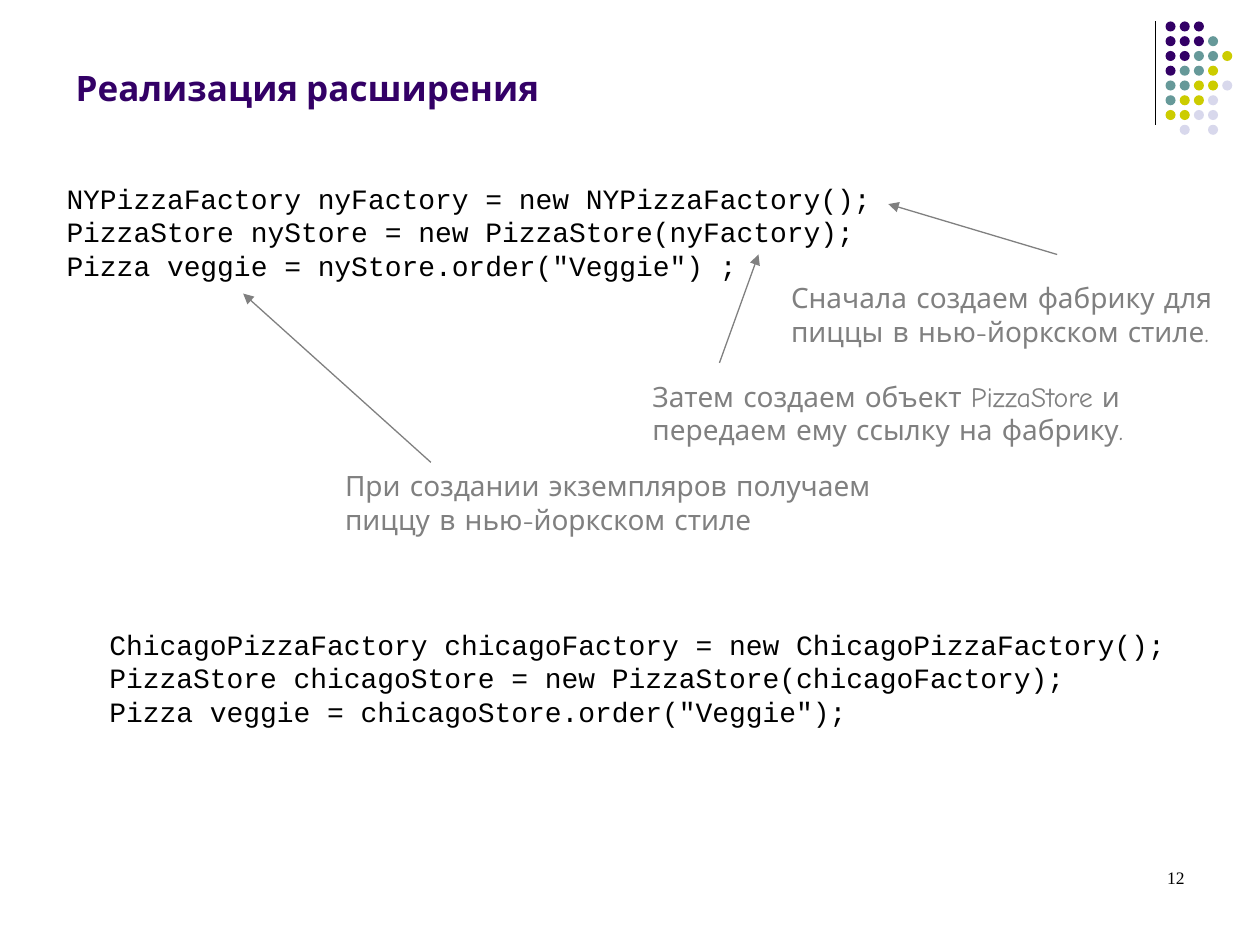
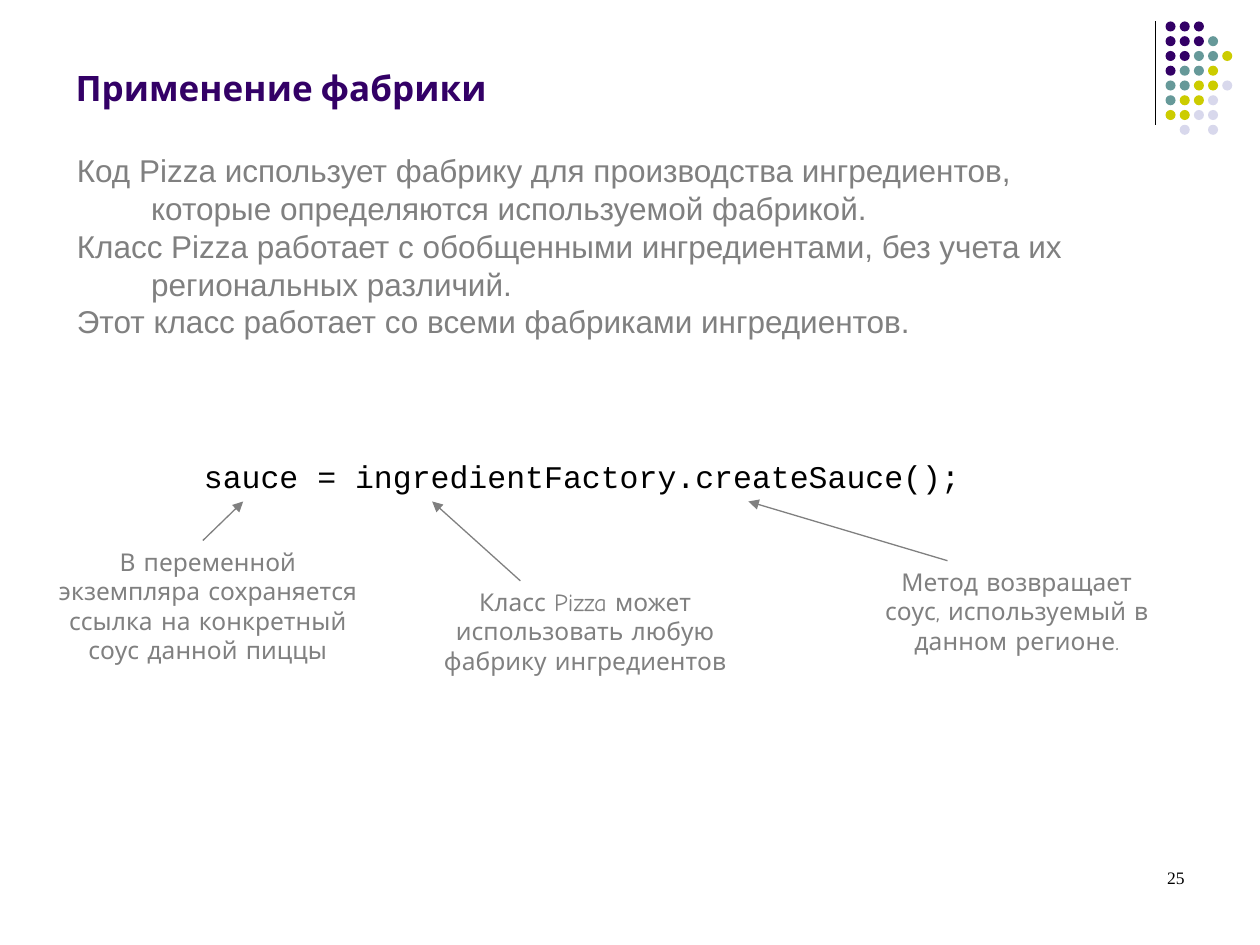
from pptx import Presentation
from pptx.dml.color import RGBColor
from pptx.enum.shapes import MSO_CONNECTOR as Conn, MSO_SHAPE as Shape
from pptx.enum.text import MSO_ANCHOR as Anchor, PP_ALIGN as Align
from pptx.oxml.ns import qn
from pptx.util import Inches, Pt
from lxml.etree import SubElement as sub

INK, GREY, BLACK = "330066", "808080", "000000"
DOTS = {"I": INK, "T": "669999", "Y": "CCCC00", "L": "D8D8EC"}
GRID = ["III", "IIIT", "IITTY", "ITTY", "TTYYL", "TYYL", "YYLL", " L L"]
HEAD = dict(name="Cabin", size=Pt(20), bold=True)
LIST = dict(name="Arial", size=Pt(18))
NOTE = dict(name="Comic Neue", size=Pt(16))
CODE = dict(name="Courier New", size=Pt(16))
PAGE = dict(name="Times New Roman", size=Pt(10))


def rgb(tint):
    return RGBColor.from_string(tint)


def setall(item, style):
    for key, val in style.items():
        setattr(item, key, val)


class Deck:
    def __init__(self):
        self.prs = Presentation()
        self.prs.slide_width, self.prs.slide_height = Inches(10), Inches(7.5)

    def page(self, title, num, layout):
        """Start a slide with its shared parts."""
        self.slide = self.prs.slides.add_slide(self.prs.slide_layouts[layout])
        self.shapes = self.slide.shapes
        self.dots()
        self.fill(self.shapes.title, (0.5, 0.13, 8.6, 0.78), [title], HEAD, INK,
                  anchor=Anchor.BOTTOM)
        self.text((7.17, 6.83, 2.33, 0.5), [str(num)], PAGE, BLACK, Align.RIGHT)

    def dots(self):
        """Corner rule and dot grid."""
        self.line((9.17, 0.17), (9.17, 0.99), BLACK)
        group = self.shapes.add_group_shape()
        for row, marks in enumerate(GRID):
            for col, mark in enumerate(marks):
                if mark == " ":
                    continue
                dot = group.shapes.add_shape(
                    Shape.OVAL, Inches(9.25 + col * 0.45 / 4),
                    Inches(0.17 + row * 0.82 / 7), Inches(0.08), Inches(0.08))
                dot.shadow.inherit = False
                dot.fill.solid()
                dot.fill.fore_color.rgb = rgb(DOTS[mark])
                dot.line.fill.background()

    def fill(self, box, at, lines, style, tint, align=Align.LEFT,
             anchor=Anchor.TOP, hang=0):
        """Place a box and set its formatted paragraphs."""
        spot = zip(("left", "top", "width", "height"), map(Inches, at))
        setall(box, dict(spot))
        frame = box.text_frame
        setall(frame, dict(word_wrap=True, vertical_anchor=anchor))
        frame.text = "\n".join(lines)
        for para in frame.paragraphs:
            setall(para, dict(alignment=align, line_spacing=Pt(style["size"].pt * 1.2),
                              space_before=Pt(0), space_after=Pt(0)))
            if hang:
                props = para._p.get_or_add_pPr()
                props.set("marL", str(Inches(hang)))
                props.set("indent", str(-Inches(hang)))
                sub(props, qn("a:buNone"))
            for run in para.runs:
                setall(run.font, style)
                run.font.color.rgb = rgb(tint)

    def text(self, at, lines, style, tint, align=Align.LEFT):
        box = self.shapes.add_textbox(0, 0, 0, 0)
        self.fill(box, at, lines, style, tint, align)

    def code(self, at, lines, **more):
        self.text(at, lines, {**CODE, **more}, BLACK)

    def note(self, at, words, start, end, align=Align.LEFT, **more):
        """A remark and the arrow to the code it explains."""
        self.text(at, [words], {**NOTE, **more}, GREY, align)
        self.line(start, end, GREY, arrow=True)

    def list(self, at, lines):
        self.fill(self.slide.placeholders[1], at, lines, LIST, GREY, hang=0.59)

    def line(self, start, end, tint, arrow=False):
        link = self.shapes.add_connector(Conn.STRAIGHT, *map(Inches, start + end))
        link.line.width = Pt(0.75)
        link.line.color.rgb = rgb(tint)
        if arrow:
            sub(link.line._get_or_add_ln(), qn("a:tailEnd"), type="triangle")
        sub(link._element.spPr, qn("a:effectLst"))


def main():
    deck = Deck()

    # Two stores built from two factories
    deck.page("Реализация расширения", 12, 5)
    deck.code((0.43, 1.39, 7.4, 0.9), [
        "NYPizzaFactory nyFactory = new NYPizzaFactory();",
        "PizzaStore nyStore = new PizzaStore(nyFactory);",
        'Pizza veggie = nyStore.order("Veggie") ;'])
    deck.note((6.18, 2.18, 3.62, 0.64),
              "Сначала создаем фабрику для пиццы в нью-йоркском стиле.",
              (8.39, 2.02), (7.05, 1.62))
    deck.note((5.08, 2.96, 4.1, 0.64),
              "Затем создаем объект PizzaStore и передаем ему ссылку на фабрику.",
              (5.71, 2.88), (6.02, 2.02))
    deck.note((2.64, 3.67, 4.41, 0.64),
              "При создании экземпляров получаем пиццу в нью-йоркском стиле",
              (3.42, 3.67), (1.93, 2.33))
    deck.code((0.77, 4.93, 8.71, 0.9), [
        "ChicagoPizzaFactory chicagoFactory = new ChicagoPizzaFactory();",
        "PizzaStore chicagoStore = new PizzaStore(chicagoFactory);",
        'Pizza veggie = chicagoStore.order("Veggie");'])

    # One call explained part by part
    deck.page("Применение фабрики", 25, 1)
    deck.list((0.51, 1.15, 8.58, 1.6), [
        "Код Pizza использует фабрику для производства ингредиентов, "
        "которые определяются используемой фабрикой.",
        "Класс Pizza работает с обобщенными ингредиентами, без учета их "
        "региональных различий.",
        "Этот класс работает со всеми фабриками ингредиентов."])
    deck.code((1.52, 3.58, 6.3, 0.4),
              ["sauce = ingredientFactory.createSauce();"], size=Pt(18))
    small = dict(align=Align.CENTER, size=Pt(14))
    deck.note((6.89, 4.45, 2.36, 0.8),
              "Метод возвращает соус, используемый в данном регионе.",
              (7.52, 4.45), (5.94, 3.98), **small)
    deck.note((3.11, 4.61, 3.07, 0.57),
              "Класс Pizza может использовать любую фабрику ингредиентов",
              (4.13, 4.61), (3.43, 3.98), **small)
    deck.note((0.35, 4.29, 2.6, 0.8),
              "В переменной экземпляра сохраняется ссылка на конкретный "
              "соус данной пиццы",
              (1.61, 4.29), (1.93, 3.98), **small)

    deck.prs.save("out.pptx")


if __name__ == "__main__":
    main()
